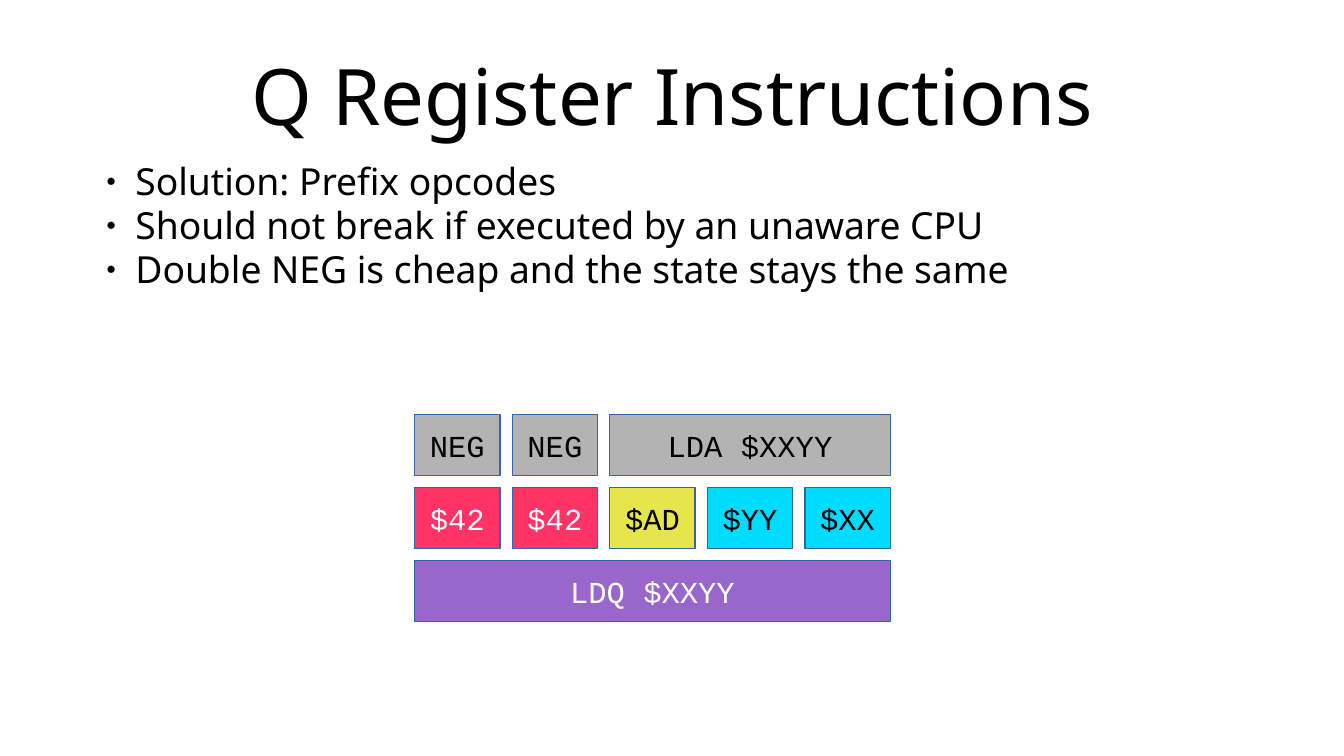
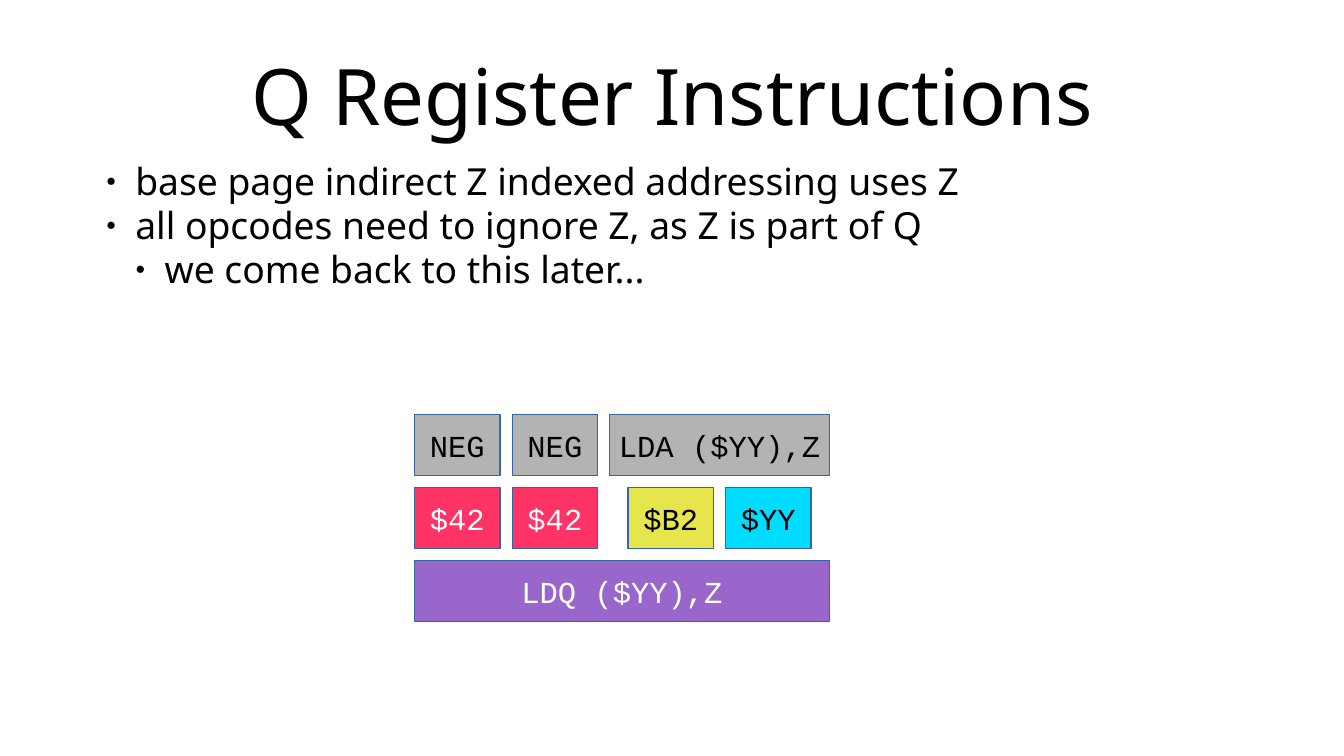
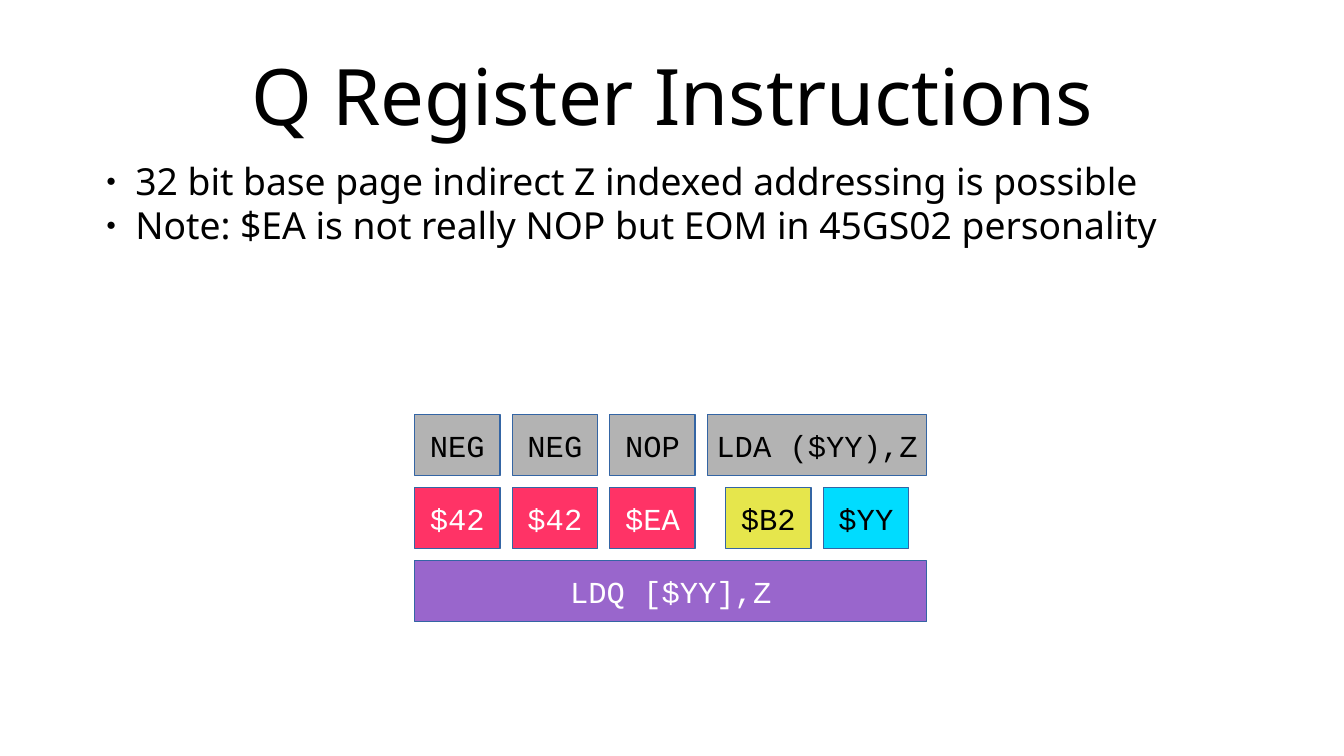
"""Build three slides on prefix opcodes for the Q register."""
from lxml import etree
from pptx import Presentation
from pptx.dml.color import RGBColor
from pptx.enum.shapes import MSO_SHAPE
from pptx.enum.text import MSO_ANCHOR, MSO_AUTO_SIZE, PP_ALIGN
from pptx.oxml.ns import qn
from pptx.util import Inches, Pt

RECTANGLE = MSO_SHAPE.RECTANGLE
MIDDLE, TOP = MSO_ANCHOR.MIDDLE, MSO_ANCHOR.TOP
CENTER, LEFT = PP_ALIGN.CENTER, PP_ALIGN.LEFT
GROW = MSO_AUTO_SIZE.SHAPE_TO_FIT_TEXT

COLORS = {
    "black": "000000", "white": "FFFFFF", "outline": "3465A4",
    "mnemonic": "B3B3B3", "prefix": "FF3366", "opcode": "E6E64C",
    "address": "00DCFF", "result": "9966CC",
}
LIGHT_TEXT = {"prefix", "result"}
TITLE_FONT = {"name": "Noto Sans", "size": Pt(46)}
LIST_FONT = {"name": "Noto Sans", "size": Pt(22)}
CODE_FONT = {"name": "Courier New", "size": Pt(18)}
FRAME = {"margin_left": 0, "margin_right": 0, "margin_top": 0,
         "margin_bottom": 0, "word_wrap": True, "auto_size": GROW}
TITLE_PARAGRAPH = {"alignment": CENTER}
LIST_PARAGRAPH = {"alignment": LEFT, "line_spacing": 0.9,
                  "space_before": Pt(0), "space_after": Pt(2.2)}

TITLE = "Q Register Instructions"
TITLE_BOX = (0.55, 0.25, 9.92, 1.04)
DIAGRAM_ORIGIN = (3.4, 3.4)
BYTE_WIDTH, ROW_HEIGHT, GAP = 0.7, 0.5, 0.1
BYTE_STEP, ROW_STEP = BYTE_WIDTH + GAP, ROW_HEIGHT + GAP
INDENT = 0.24

SLIDES = [
    {
        "points": [("Solution: Prefix opcodes", 0),
                   ("Should not break if executed by an unaware CPU", 0),
                   ("Double NEG is cheap and the state stays the same", 0)],
        "list_box": (0.87, 1.34, 8.93, 1.33),
        "prefixes": [("NEG", "$42"), ("NEG", "$42")],
        "load": ("LDA $XXYY", 2.3),
        "load_bytes": ["$AD", "$YY", "$XX"],
        "result": "LDQ $XXYY",
    },
    {
        "points": [("base page indirect Z indexed addressing uses Z", 0),
                   ("all opcodes need to ignore Z, as Z is part of Q", 0),
                   ("we come back to this later...", 1)],
        "list_box": (0.87, 1.34, 9.13, 1.33),
        "prefixes": [("NEG", "$42"), ("NEG", "$42")],
        "load": ("LDA ($YY),Z", 1.8),
        "load_bytes": ["$B2", "$YY"],
        "result": "LDQ ($YY),Z",
    },
    {
        "points": [("32 bit base page indirect Z indexed addressing is possible", 0),
                   ("Note: $EA is not really NOP but EOM in 45GS02 personality", 0)],
        "list_box": (0.87, 1.34, 8.93, 0.87),
        "prefixes": [("NEG", "$42"), ("NEG", "$42"), ("NOP", "$EA")],
        "load": ("LDA ($YY),Z", 1.8),
        "load_bytes": ["$B2", "$YY"],
        "result": "LDQ [$YY],Z",
    },
]


def rgb(name):
    """Return the named palette colour."""
    return RGBColor.from_string(COLORS[name])


def apply(target, values):
    """Set each attribute in a dict of format values."""
    for attribute, value in values.items():
        setattr(target, attribute, value)


def place(placeholder, box, anchor):
    """Move a placeholder to its box and give it the shared frame format."""
    sides = ("left", "top", "width", "height")
    apply(placeholder, dict(zip(sides, map(Inches, box))))
    apply(placeholder.text_frame, {**FRAME, "vertical_anchor": anchor})


def add_text(paragraph, text, font, color="black"):
    """Add one formatted run to a paragraph."""
    run = paragraph.add_run()
    run.text = text
    apply(run.font, font)
    run.font.color.rgb = rgb(color)


def add_bullet(paragraph, level):
    """Give a paragraph a small round bullet and a hanging indent."""
    properties = paragraph._p.get_or_add_pPr()
    properties.set("marL", str(Inches(INDENT * (level + 1))))
    properties.set("indent", str(-Inches(INDENT)))
    bullet_color = etree.SubElement(properties, qn("a:buClr"))
    etree.SubElement(bullet_color, qn("a:srgbClr"), val=COLORS["black"])
    etree.SubElement(properties, qn("a:buSzPct"), val="45000")
    etree.SubElement(properties, qn("a:buChar"), char="●")


def fill_title(slide):
    """Write the shared title."""
    title = slide.shapes.title
    place(title, TITLE_BOX, MIDDLE)
    heading = title.text_frame.paragraphs[0]
    apply(heading, TITLE_PARAGRAPH)
    add_text(heading, TITLE, TITLE_FONT)


def fill_list(slide, points, box):
    """Write the bullet list into the body placeholder."""
    body = slide.placeholders[1]
    place(body, box, TOP)
    frame = body.text_frame
    for index, (text, level) in enumerate(points):
        point = frame.add_paragraph() if index else frame.paragraphs[0]
        add_bullet(point, level)
        apply(point, {**LIST_PARAGRAPH, "level": level})
        add_text(point, text, LIST_FONT)


def add_cell(slide, left, top, width, text, role):
    """Draw one code cell coloured by its role."""
    cell = slide.shapes.add_shape(
        RECTANGLE, *map(Inches, (left, top, width, ROW_HEIGHT)))
    cell.shadow.inherit = False
    cell.fill.solid()
    cell.fill.fore_color.rgb = rgb(role)
    cell.line.color.rgb = rgb("outline")
    cell.line.width = Pt(0)
    apply(cell.text_frame, {"word_wrap": False, "vertical_anchor": MIDDLE})
    code = cell.text_frame.paragraphs[0]
    code.alignment = CENTER
    add_text(code, text, CODE_FONT, "white" if role in LIGHT_TEXT else "black")


def draw_encoding(slide, origin, content):
    """Draw mnemonics, their bytes and the resulting instruction."""
    left, mnemonic_top = origin
    byte_top = mnemonic_top + ROW_STEP
    result_top = byte_top + ROW_STEP
    for index, (mnemonic, prefix) in enumerate(content["prefixes"]):
        x = left + index * BYTE_STEP
        add_cell(slide, x, mnemonic_top, BYTE_WIDTH, mnemonic, "mnemonic")
        add_cell(slide, x, byte_top, BYTE_WIDTH, prefix, "prefix")

    load_left = left + len(content["prefixes"]) * BYTE_STEP
    load, load_width = content["load"]
    add_cell(slide, load_left, mnemonic_top, load_width, load, "mnemonic")
    load_bytes = content["load_bytes"]
    bytes_width = len(load_bytes) * BYTE_STEP - GAP
    bytes_left = load_left + (load_width - bytes_width) / 2
    for index, value in enumerate(load_bytes):
        add_cell(slide, bytes_left + index * BYTE_STEP, byte_top, BYTE_WIDTH,
                 value, "address" if index else "opcode")

    add_cell(slide, left, result_top, load_left + load_width - left,
             content["result"], "result")


def main():
    """Build and save the presentation."""
    deck = Presentation()
    deck.slide_width, deck.slide_height = Inches(11.02), Inches(6.2)
    for content in SLIDES:
        slide = deck.slides.add_slide(deck.slide_layouts[1])
        fill_title(slide)
        fill_list(slide, content["points"], content["list_box"])
        draw_encoding(slide, DIAGRAM_ORIGIN, content)
    deck.save("out.pptx")


if __name__ == "__main__":
    main()
